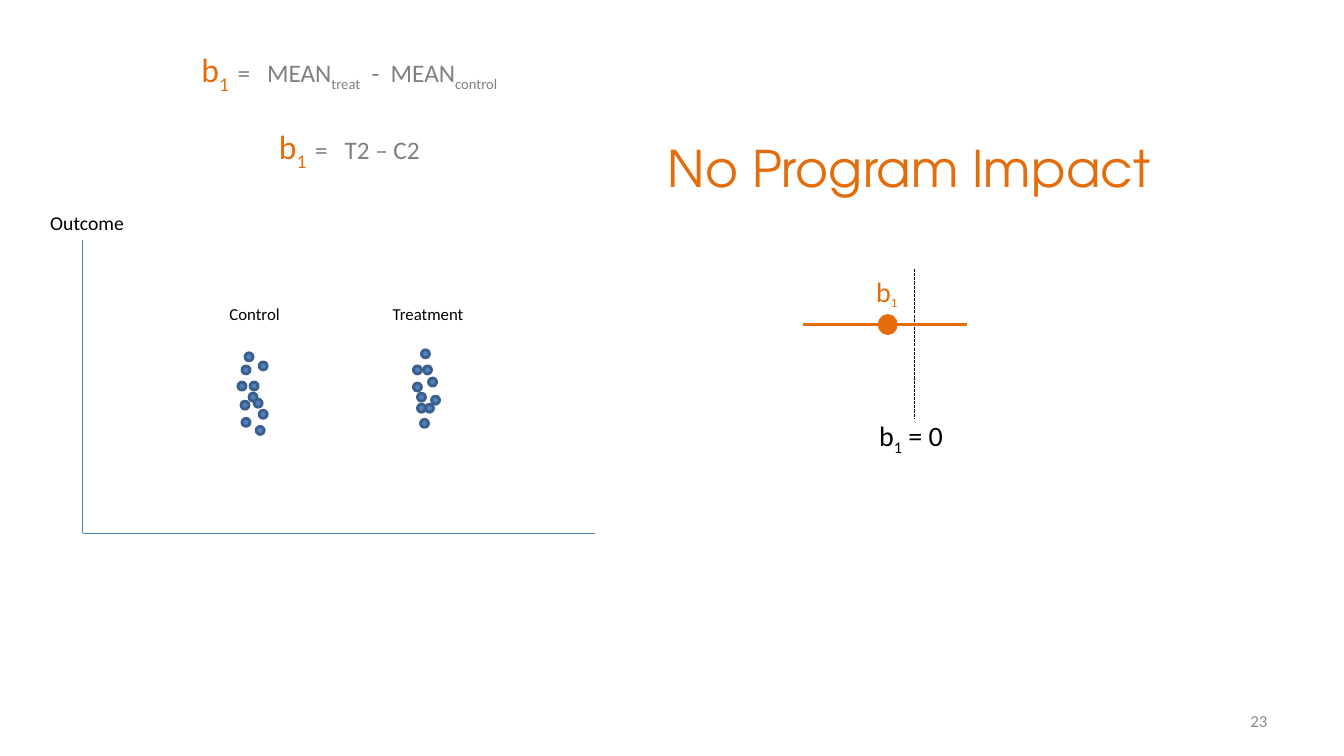
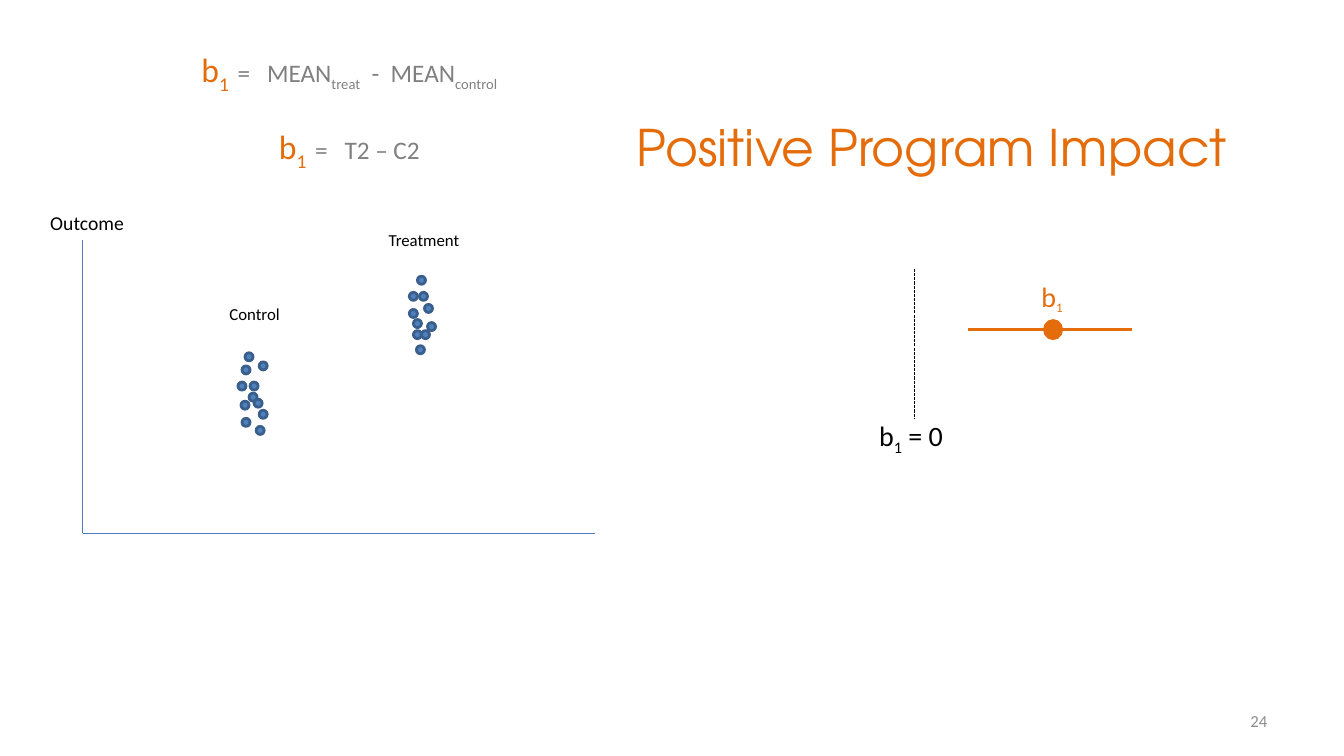
from dataclasses import dataclass

from lxml.etree import SubElement
from pptx import Presentation
from pptx.dml.color import RGBColor
from pptx.enum.dml import MSO_LINE
from pptx.enum.shapes import MSO_CONNECTOR, MSO_SHAPE
from pptx.enum.text import MSO_ANCHOR, MSO_AUTO_SIZE, PP_ALIGN
from pptx.oxml.ns import qn
from pptx.util import Pt

PX = 9144  # EMU in one px, 100 px to the inch


@dataclass(frozen=True)
class Theme:
    body_font: str = "Calibri"
    title_font: str = "TeX Gyre Adventor"
    accent: str = "E46C0A"
    ink: str = "000000"
    grey: str = "808080"
    number: str = "8C8C8C"
    axis: str = "4B7EBC"
    dot: str = "4F81BD"
    dot_edge: str = "3A5F8C"
    title_size: int = 36
    symbol_size: int = 24
    estimate_size: int = 20
    formula_size: int = 18
    subscript_size: int = 16
    axis_size: int = 14
    label_size: int = 12


theme = Theme()


def write(shape, *paragraphs, size=theme.label_size, color=theme.ink,
          font=theme.body_font, align=PP_ALIGN.LEFT, anchor=MSO_ANCHOR.TOP,
          wrap=False, space_after=0):
    """Fill a shape; a paragraph is a string or a list of (text, run format)."""
    frame = shape.text_frame
    frame.word_wrap = wrap
    frame.auto_size = MSO_AUTO_SIZE.NONE if wrap else MSO_AUTO_SIZE.SHAPE_TO_FIT_TEXT
    frame.vertical_anchor = anchor
    for index, runs in enumerate(paragraphs):
        paragraph = frame.add_paragraph() if index else frame.paragraphs[0]
        paragraph.alignment = align
        if index < len(paragraphs) - 1:
            paragraph.space_after = Pt(space_after)
        for text, look in [(runs, {})] if isinstance(runs, str) else runs:
            run = paragraph.add_run()
            run.text = text
            run.font.name = font
            run.font.size = Pt(look.get("size", size))
            run.font.color.rgb = RGBColor.from_string(look.get("color", color))
            properties = run.font._element
            if look.get("sub"):
                properties.set("baseline", "-25000")
            if "spacing" in look:
                properties.set("spc", str(look["spacing"] * 100))


def draw_line(slide, x1, y1, x2, y2, color, width, dash=None):
    line = slide.shapes.add_connector(
        MSO_CONNECTOR.STRAIGHT, x1 * PX, y1 * PX, x2 * PX, y2 * PX)
    line.line.color.rgb = RGBColor.from_string(color)
    line.line.width = Pt(width)
    if dash:
        line.line.dash_style = dash
    SubElement(line._element.spPr, qn("a:effectLst"))


# Shared formulas: spacing widens the single space between terms
sub = {"sub": True}
symbol = {"size": theme.symbol_size, "color": theme.accent}
b1_equals = [("b", symbol), ("1", symbol | sub),
             (" ", symbol | sub | {"spacing": 3}), ("=", {}), (" ", {"spacing": 8})]
minus = [(" ", {"spacing": 4}), ("-", {}), (" ", {"spacing": 4})]
mean_formula = (b1_equals + [("MEAN", {}), ("treat", sub)] + minus
                + [("MEAN", {}), ("control", sub)])
group_formula = b1_equals + [("T2 – C2", {})]

b1_zero = [("b", {}), ("1", sub), (" = 0", {})]
b1_estimate = [("b", {}), ("1", {"size": theme.subscript_size, "sub": True})]

# Top left corners of the observations
control_dots = [(236, 379), (248, 379), (247, 390), (239, 398), (257, 407), (240, 415),
                (254, 423), (257, 359), (243, 350), (240, 363), (252, 396)]
treatment_dots = [(410, 380), (410, 363), (425, 375), (428, 393), (414, 401), (422, 401),
                  (417, 416), (418, 347), (420, 363), (414, 390)]

# Per slide: title and its box, then the shifts of the treatment group and estimate
impacts = [
    ("No Program Impact", (649, 131, 505, 71), (0, 0), (0, 0)),
    ("Positive Program Impact", (616, 110, 616, 71), (-4, -73), (164, 5)),
]

deck = Presentation()
deck.slide_width, deck.slide_height = 1333 * PX, 750 * PX

for number, (heading, title_box, (group_dx, group_dy), (est_dx, est_dy)) in enumerate(impacts, 23):
    slide = deck.slides.add_slide(deck.slide_layouts[5])

    # Title
    title = slide.shapes.title
    title.left, title.top, title.width, title.height = (v * PX for v in title_box)
    write(title, heading, size=theme.title_size, color=theme.accent,
          font=theme.title_font, align=PP_ALIGN.CENTER)

    # Axes, zero line and confidence interval
    draw_line(slide, 82, 529, 590, 529, theme.axis, 0.75)
    draw_line(slide, 82, 529, 82, 238, theme.axis, 0.75)
    draw_line(slide, 907, 267, 907, 416, theme.ink, 0.75, MSO_LINE.SQUARE_DOT)
    draw_line(slide, 796 + est_dx, 322 + est_dy, 959 + est_dx, 322 + est_dy, theme.accent, 2)

    # Observations and point estimate
    observations = control_dots + [(x + group_dx, y + group_dy) for x, y in treatment_dots]
    dots = [(x, y, 8, 8, theme.dot, theme.dot_edge) for x, y in observations]
    dots.append((872 + est_dx, 313 + est_dy, 17, 18, theme.accent, theme.accent))
    for x, y, width, height, fill, edge in dots:
        dot = slide.shapes.add_shape(
            MSO_SHAPE.OVAL, x * PX, y * PX, width * PX, height * PX)
        dot.shadow.inherit = False
        dot.fill.solid()
        dot.fill.fore_color.rgb = RGBColor.from_string(fill)
        dot.line.color.rgb = RGBColor.from_string(edge)
        dot.line.width = Pt(2)

    # Formulas, labels and slide number
    centered = {"align": PP_ALIGN.CENTER}
    texts = [
        ((181, 44, 331, 131), [mean_formula, group_formula],
         centered | {"size": theme.formula_size, "color": theme.grey, "space_after": 22}),
        ((40, 204, 94, 34), ["Outcome"], {"size": theme.axis_size}),
        ((217, 296, 71, 30), ["Control"], centered),
        ((379 + group_dx, 296 + group_dy, 91, 30), ["Treatment"], centered),
        ((862, 410, 85, 44), [b1_zero], {"size": theme.estimate_size}),
        ((859 + est_dx, 267 + est_dy, 42, 44), [b1_estimate],
         {"size": theme.estimate_size, "color": theme.accent}),
        ((956, 695, 311, 40), [str(number)],
         {"color": theme.number, "align": PP_ALIGN.RIGHT,
          "anchor": MSO_ANCHOR.MIDDLE, "wrap": True}),
    ]
    for box, paragraphs, look in texts:
        write(slide.shapes.add_textbox(*(v * PX for v in box)), *paragraphs, **look)

deck.save("out.pptx")
